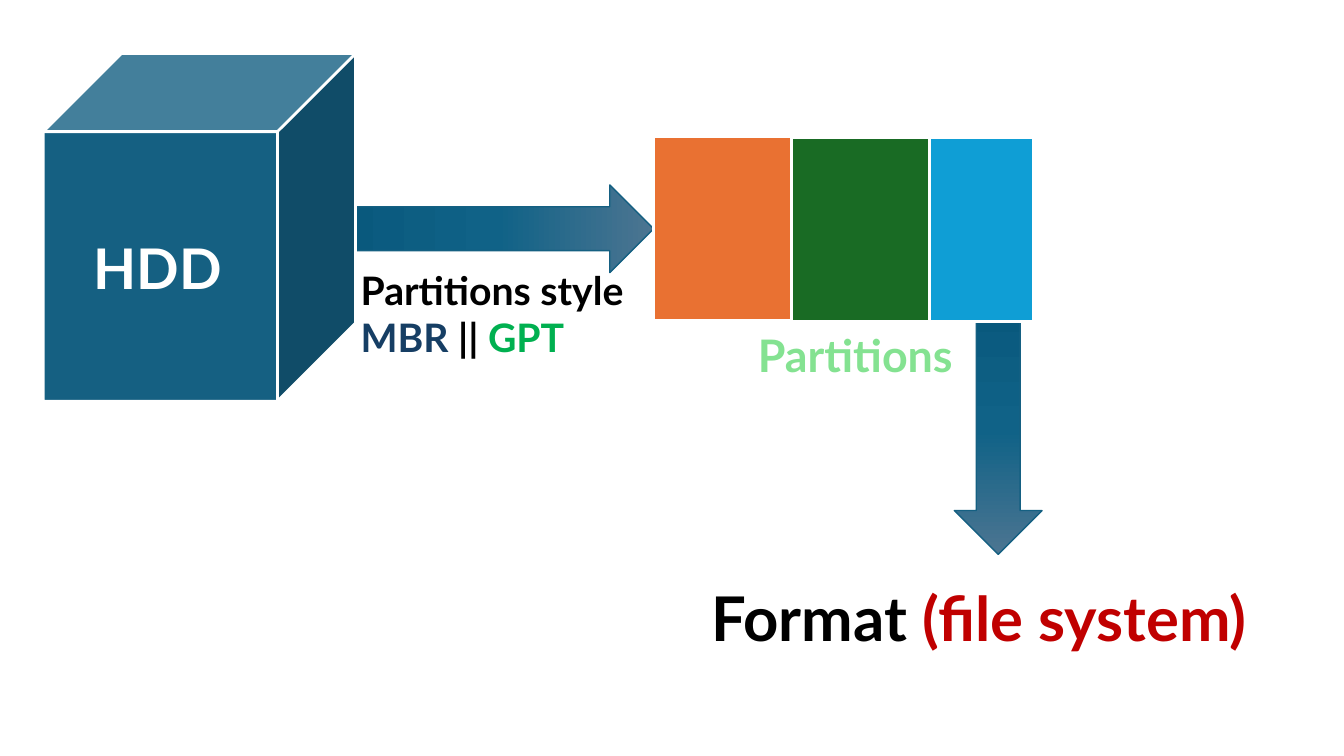
"""Builds a slide showing how a hard disk is partitioned and then formatted."""
from copy import deepcopy
from itertools import accumulate
from typing import NamedTuple

from pptx import Presentation
from pptx.dml.color import RGBColor
from pptx.enum.dml import MSO_PATTERN
from pptx.enum.shapes import MSO_SHAPE
from pptx.enum.text import MSO_AUTO_SIZE
from pptx.oxml import parse_xml
from pptx.oxml.ns import nsdecls, qn
from pptx.shapes.autoshape import Shape
from pptx.slide import Slide
from pptx.text.text import Font
from pptx.util import Cm, Pt

FONT_NAME = "Lato"
WHITE = RGBColor(0xFF, 0xFF, 0xFF)
BLACK = RGBColor(0x00, 0x00, 0x00)
TEAL = RGBColor(0x15, 0x60, 0x82)
ORANGE = RGBColor(0xE9, 0x71, 0x32)
DARK_GREEN = RGBColor(0x19, 0x6B, 0x24)
LIGHT_GREEN = RGBColor(0x84, 0xE2, 0x91)
SKY = RGBColor(0x0F, 0x9E, 0xD5)
NAVY = RGBColor(0x16, 0x3E, 0x64)
GREEN = RGBColor(0x00, 0xB0, 0x50)
RED = RGBColor(0xC0, 0x00, 0x00)
ARROW_GRADIENT = (
    RGBColor(0x4C, 0x75, 0x91),
    RGBColor(0x10, 0x62, 0x87),
    RGBColor(0x09, 0x59, 0x7D),
)


class Box(NamedTuple):
    left: float
    top: float
    width: float
    height: float


class Arrow(NamedTuple):
    box: Box
    rotation: int


class Partition(NamedTuple):
    top: float
    width: float
    color: RGBColor


class Words(NamedTuple):
    text: str
    color: RGBColor


class Label(NamedTuple):
    box: Box
    size: int
    lines: list[list[Words]]


ARROWS = [
    Arrow(Box(24.05, 7.75, 2.21, 6.22), 180),
    Arrow(Box(11.43, 1.83, 2.21, 7.87), 90),
]
HDD_CUBE = Box(1.09, 1.35, 7.87, 8.76)
DISK = Box(16.46, 3.43, 9.58, 4.62)
PARTITIONS = [
    Partition(3.45, 3.48, ORANGE),
    Partition(3.48, 3.48, DARK_GREEN),
    Partition(3.48, 2.62, SKY),
]
HDD_LABEL = Label(Box(2.11, 5.77, 4.14, 1.96), 40, [[Words("HDD", WHITE)]])
PARTITIONS_LABEL = Label(
    Box(18.85, 8.13, 5.66, 1.63), 32, [[Words("Partitions", LIGHT_GREEN)]]
)
STYLE_LABEL = Label(
    Box(8.84, 6.58, 7.42, 2.64),
    28,
    [
        [Words("Partitions style", BLACK)],
        [Words("MBR", NAVY), Words(" || ", BLACK), Words("GPT", GREEN)],
    ],
)
FORMAT_LABEL = Label(
    Box(17.68, 14.5, 14.94, 2.13),
    44,
    [[Words("Format ", BLACK), Words("(file system)", RED)]],
)


def draw_shape(
    slide: Slide, kind: MSO_SHAPE, box: Box, fill: RGBColor,
    line: RGBColor = WHITE, line_width: float = 2,
) -> Shape:
    """Draw a filled and outlined preset shape."""
    shape = slide.shapes.add_shape(kind, *map(Cm, box))
    shape.shadow.inherit = False
    shape.fill.solid()
    shape.fill.fore_color.rgb = fill
    shape.line.color.rgb = line
    shape.line.width = Pt(line_width)
    return shape


def draw_arrow(slide: Slide, arrow: Arrow) -> None:
    """Draw a block arrow that fades towards its tip."""
    shape = draw_shape(slide, MSO_SHAPE.UP_ARROW, arrow.box, TEAL, TEAL, 1)
    shape.rotation = arrow.rotation
    shape.fill.gradient()
    shape.fill.gradient_angle = 270
    stop_list = shape._element.spPr.find(".//" + qn("a:gsLst"))
    stop_list.insert(1, deepcopy(stop_list[0]))
    for index, (stop, color) in enumerate(zip(shape.fill.gradient_stops, ARROW_GRADIENT)):
        stop.position = index / 2
        stop.color.rgb = color


def draw_label(slide: Slide, label: Label) -> list[Font]:
    """Draw bold text and return the fonts of its runs."""
    frame = slide.shapes.add_textbox(*map(Cm, label.box)).text_frame
    frame.word_wrap = True
    frame.auto_size = MSO_AUTO_SIZE.SHAPE_TO_FIT_TEXT
    fonts = []
    for index, line in enumerate(label.lines):
        paragraph = frame.add_paragraph() if index else frame.paragraphs[0]
        for words in line:
            run = paragraph.add_run()
            run.text = words.text
            run.font.name = FONT_NAME
            run.font.size = Pt(label.size)
            run.font.bold = True
            run.font.color.rgb = words.color
            fonts.append(run.font)
    return fonts


def stripe_text(font: Font) -> None:
    """Give text a striped green fill and a thin dark outline."""
    font.fill.patterned()
    font.fill.pattern = MSO_PATTERN.NARROW_HORIZONTAL
    font.fill.fore_color.rgb = DARK_GREEN
    font.fill.back_color.rgb = LIGHT_GREEN
    outline = parse_xml(
        f'<a:ln {nsdecls("a")} w="12700"><a:solidFill>'
        '<a:srgbClr val="0D3612"/></a:solidFill></a:ln>'
    )
    font._element.insert(0, outline)


def main() -> None:
    """Build the slide and save it."""
    deck = Presentation()
    deck.slide_width, deck.slide_height = Cm(33.87), Cm(19.05)
    slide = deck.slides.add_slide(deck.slide_layouts[6])

    for arrow in ARROWS:
        draw_arrow(slide, arrow)
    draw_shape(slide, MSO_SHAPE.CUBE, HDD_CUBE, TEAL)
    draw_label(slide, HDD_LABEL)

    draw_shape(slide, MSO_SHAPE.RECTANGLE, DISK, TEAL)
    lefts = accumulate((part.width for part in PARTITIONS), initial=DISK.left)
    for left, part in zip(lefts, PARTITIONS):
        box = Box(left, part.top, part.width, DISK.height)
        draw_shape(slide, MSO_SHAPE.RECTANGLE, box, part.color)

    for font in draw_label(slide, PARTITIONS_LABEL):
        stripe_text(font)
    draw_label(slide, STYLE_LABEL)
    draw_label(slide, FORMAT_LABEL)
    deck.save("out.pptx")


if __name__ == "__main__":
    main()
